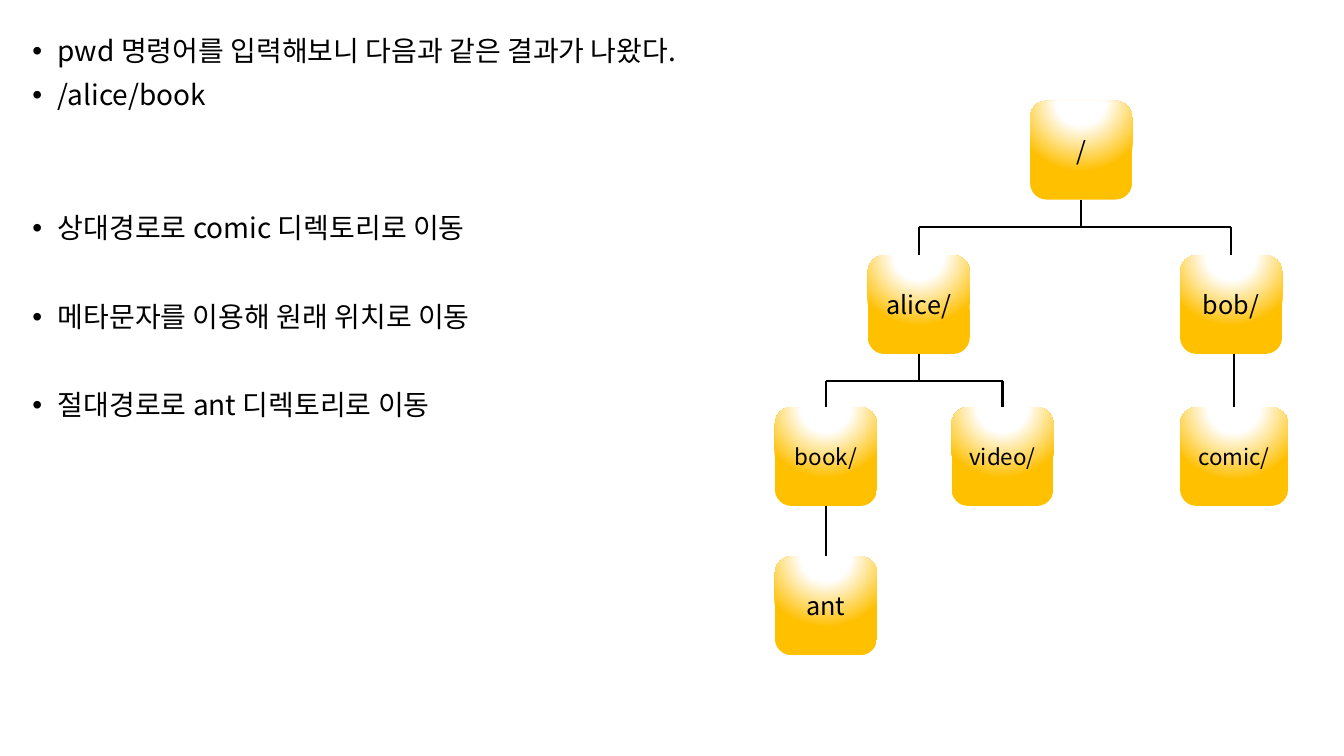
"""Build a slide with path exercises beside a directory tree."""
from lxml import etree
from pptx import Presentation
from pptx import util as u
from pptx.enum import shapes, text
from pptx.dml.color import RGBColor
from pptx.oxml.ns import qn

HUES = {"ink": "000000", "glow": "FFFFFF", "gold": "FFC000"}
FONT = "Noto Sans CJK KR"
HIGH = 2.49
TASKS = [
    ("pwd 명령어를 입력해보니 다음과 같은 결과가 나왔다.", 10),
    ("/alice/book", 10),
    ("상대경로로 comic 디렉토리로 이동", 73.4),
    ("메타문자를 이용해 원래 위치로 이동", 41.7),
    ("절대경로로 ant 디렉토리로 이동", 41.7),
]
NODES = {
    "/": (25.96, 2.54, 2.57, 18),
    "alice/": (21.87, 6.43, 2.57, 18),
    "bob/": (29.74, 6.43, 2.57, 18),
    "book/": (19.53, 10.26, 2.57, 16),
    "video/": (23.98, 10.26, 2.57, 16),
    "comic/": (29.74, 10.26, 2.72, 16),
    "ant": (19.53, 14.02, 2.57, 18),
}
TREE = {
    "/": ["alice/", "bob/"],
    "alice/": ["book/", "video/"],
    "bob/": ["comic/"],
    "book/": ["ant"],
}


class Deck:
    """Hold the style and the current slide."""

    def __init__(self):
        self.prs = Presentation()
        self.prs.slide_width, self.prs.slide_height = u.Cm(33.87), u.Cm(19.05)
        self.slide = self.prs.slides.add_slide(self.prs.slide_layouts[1])
        title = self.slide.shapes.title.element
        title.getparent().remove(title)

    def style(self, para, size):
        """Format every run of a paragraph."""
        for run in para.runs:
            run.font.size, run.font.name = u.Pt(size), FONT
            run.font.color.rgb = RGBColor.from_string(HUES["ink"])
            east = etree.SubElement(run.font._element, qn("a:ea"))
            east.set("typeface", FONT)

    def body(self, tasks):
        """Fill the body placeholder with spaced bullets."""
        box = self.slide.placeholders[1]
        box.left, box.top = u.Cm(0.56), u.Cm(0.81)
        box.width, box.height = u.Cm(32.59), u.Cm(17.37)
        frame = box.text_frame
        frame.text = "\n".join(line for line, gap in tasks)
        for para, (line, gap) in zip(frame.paragraphs, tasks):
            para.line_spacing, para.space_before = 0.9, u.Pt(gap)
            props = para._p.get_or_add_pPr()
            props.set("marL", str(u.Cm(0.64)))
            props.set("indent", str(u.Cm(-0.64)))
            etree.SubElement(props, qn("a:buFont")).set("typeface", "Arial")
            etree.SubElement(props, qn("a:buChar")).set("char", "•")
            self.style(para, 20)

    def glow(self, shape):
        """Give a shape a round gradient centred above it."""
        shape.fill.solid()
        flat = shape.element.spPr.find(qn("a:solidFill"))
        grad = etree.Element(qn("a:gradFill"), rotWithShape="1")
        stops = etree.SubElement(grad, qn("a:gsLst"))
        for pos, hue in ((0, "glow"), (35, "glow"), (100, "gold")):
            stop = etree.SubElement(stops, qn("a:gs"), pos=str(pos * 1000))
            etree.SubElement(stop, qn("a:srgbClr"), val=HUES[hue])
        ring = etree.SubElement(grad, qn("a:path"), path="circle")
        etree.SubElement(ring, qn("a:fillToRect"),
                         l="50000", t="-80000", r="50000", b="180000")
        flat.getparent().replace(flat, grad)

    def node(self, name, left, top, wide, size):
        """Draw one directory."""
        box = self.slide.shapes.add_shape(
            shapes.MSO_SHAPE.ROUNDED_RECTANGLE,
            u.Cm(left), u.Cm(top), u.Cm(wide), u.Cm(HIGH))
        box.shadow.inherit = False
        box.line.fill.background()
        self.glow(box)
        frame = box.text_frame
        frame.text = name
        frame.vertical_anchor = text.MSO_ANCHOR.MIDDLE
        para = frame.paragraphs[0]
        para.alignment = text.PP_ALIGN.CENTER
        self.style(para, size)

    def line(self, *ends):
        """Draw a straight line from x, y to x, y."""
        link = self.slide.shapes.add_connector(
            shapes.MSO_CONNECTOR.STRAIGHT, *map(u.Cm, ends))
        link.line.width = u.Pt(1.5)
        link.line.color.rgb = RGBColor.from_string(HUES["ink"])
        etree.SubElement(link.element.spPr, qn("a:effectLst"))

    def branch(self, root, kids):
        """Join a directory to the ones below it."""
        mids = [mid(kid) for kid in kids]
        base, top = NODES[root][1] + HIGH, NODES[kids[0]][1]
        if len(kids) == 1:
            self.line(mids[0], base, mids[0], top)
            return
        bar = (base + top) / 2
        self.line(mid(root), base, mid(root), bar)
        self.line(mids[0], bar, mids[-1], bar)
        for x in mids:
            self.line(x, bar, x, top)


def mid(name):
    """Return the horizontal centre of a directory."""
    left, top, wide, size = NODES[name]
    return left + wide / 2


deck = Deck()
deck.body(TASKS)
for name, spot in NODES.items():
    deck.node(name, *spot)
for root, kids in TREE.items():
    deck.branch(root, kids)
deck.prs.save("out.pptx")
